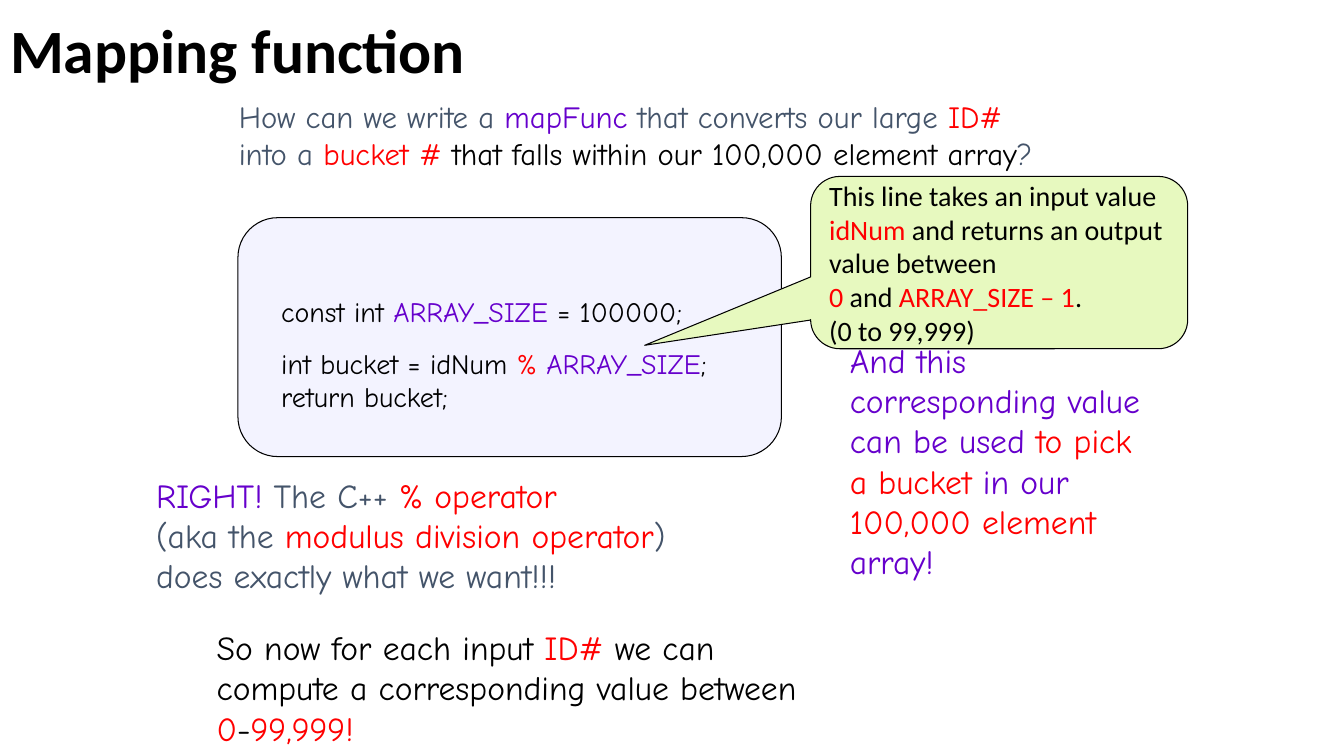
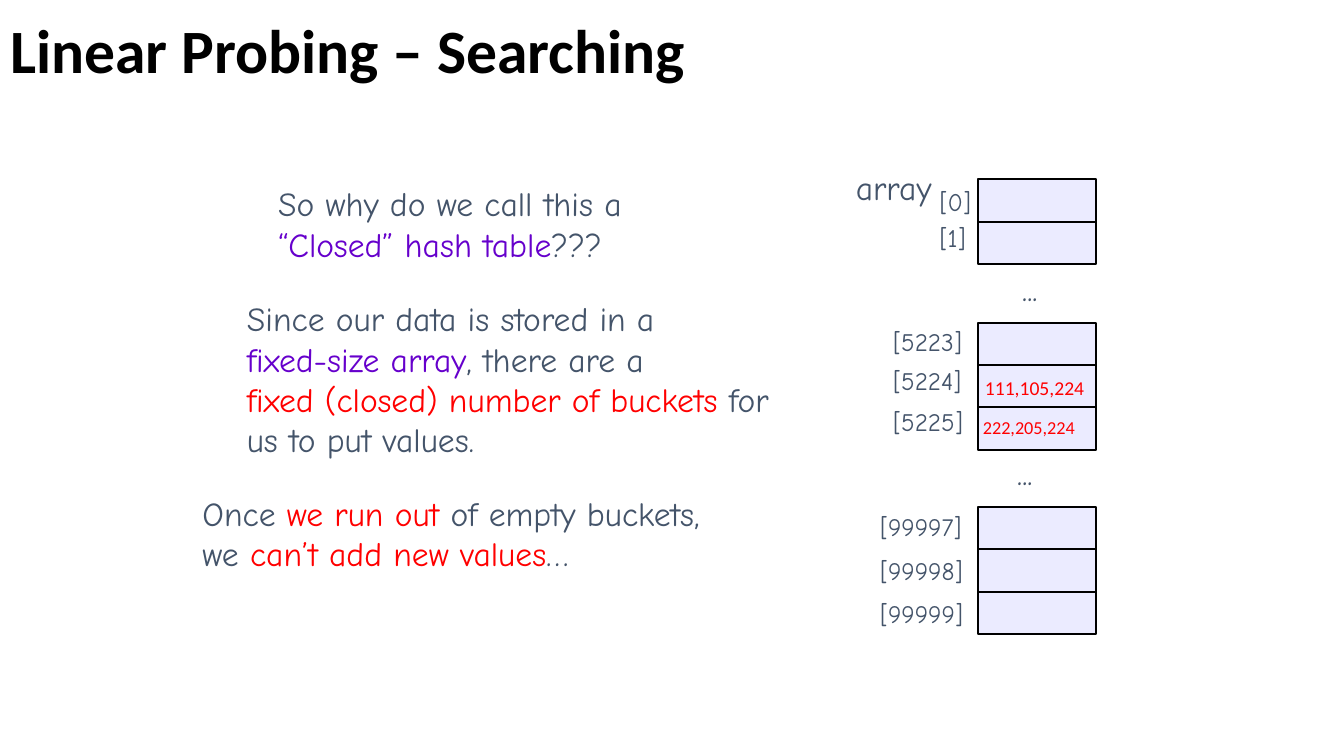
from pptx import Presentation
from pptx.dml.color import RGBColor
from pptx.enum.shapes import MSO_SHAPE
from pptx.enum.text import MSO_ANCHOR, MSO_AUTO_SIZE, PP_ALIGN
from pptx.util import Inches, Pt

RECT = MSO_SHAPE.RECTANGLE
ROUND_RECT = MSO_SHAPE.ROUNDED_RECTANGLE
CALLOUT = MSO_SHAPE.ROUNDED_RECTANGULAR_CALLOUT
MIDDLE = MSO_ANCHOR.MIDDLE
LEFT = PP_ALIGN.LEFT
NO_AUTOFIT = MSO_AUTO_SIZE.NONE
TITLE_ONLY = 5

BLACK, SLATE, PURPLE, RED = "000000", "44546A", "6600CC", "FF0000"
CODE_FILL, CALLOUT_FILL, CELL_FILL = "F3F3FF", "E7F9BF", "EBEBFF"
PLAIN, HAND = "Calibri", "Comic Neue"

CELL_LEFT, CELL_W, CELL_H = 9.7, 1.17, 0.42
BLOCK_TOPS = ((1.78, 2), (3.2, 3), (5.03, 3))
LABEL_LEFTS = {3: 9.22, 6: 8.76, 7: 8.63}
LABEL_TOPS = {"[0]": 1.8, "[1]": 2.16,
              "[5223]": 3.19, "[5224]": 3.58, "[5225]": 3.98,
              "[99997]": 5.02, "[99998]": 5.46, "[99999]": 5.89}


def rgb(value):
    return RGBColor.from_string(value)


def box(left, top, width, height):
    return [Inches(v) for v in (left, top, width, height)]


def style_font(font, name, size, color, bold=False):
    font.name = name
    font.size = Pt(size)
    font.bold = bold
    font.color.rgb = rgb(color)


def write(tf, paragraphs, size, name=HAND):
    """Fill a frame; each paragraph is a list of (text, colour), \\n breaks a line."""
    tf.word_wrap = True
    for i, pieces in enumerate(paragraphs):
        p = tf.paragraphs[0] if i == 0 else tf.add_paragraph()
        p.alignment = LEFT
        for text, color in pieces:
            for j, line in enumerate(text.split("\n")):
                if j:
                    p.add_line_break()
                if line:
                    r = p.add_run()
                    r.text = line
                    style_font(r.font, name, size, color)


def add_text(slide, at, paragraphs, size=24, name=HAND):
    tf = slide.shapes.add_textbox(*box(*at)).text_frame
    write(tf, paragraphs, size, name)
    return tf


def add_panel(slide, kind, at, fill, line_width=0.75):
    sp = slide.shapes.add_shape(kind, *box(*at))
    sp.shadow.inherit = False
    sp.fill.solid()
    sp.fill.fore_color.rgb = rgb(fill)
    sp.line.color.rgb = rgb(BLACK)
    sp.line.width = Pt(line_width)
    return sp


def place_layout_title(layout):
    title = layout.placeholders[0]
    title.left, title.top, title.width, title.height = box(0, -0.19, 11.5, 1.45)


def add_slide(prs, title):
    slide = prs.slides.add_slide(prs.slide_layouts[TITLE_ONLY])
    tf = slide.shapes.title.text_frame
    tf.text = title
    tf.vertical_anchor = MIDDLE
    tf.auto_size = NO_AUTOFIT
    p = tf.paragraphs[0]
    p.alignment = LEFT
    p.line_spacing = 0.9
    style_font(p.runs[0].font, PLAIN, 44, BLACK, bold=True)
    return slide


def add_callout(slide):
    sp = add_panel(slide, CALLOUT, (8.04, 1.75, 3.74, 1.71), CALLOUT_FILL)
    for i, value in enumerate((-0.94, 0.48, 0.17)):
        sp.adjustments[i] = value
    sp.text_frame.vertical_anchor = MIDDLE
    write(sp.text_frame, [
        [("This line takes an input value ", BLACK), ("idNum", RED),
         (" and returns an output value between \n", BLACK), ("0 ", RED),
         ("and ", BLACK), ("ARRAY_SIZE – 1", RED), (".", BLACK)],
        [("(0 to 99,999)", BLACK)]], 20, PLAIN)


def add_mapping_slide(prs):
    slide = add_slide(prs, "Mapping function")
    add_panel(slide, ROUND_RECT, (2.36, 2.16, 5.39, 2.37), CODE_FILL)
    add_text(slide, (2.27, 0.92, 9.52, 0.84), [
        [("How can we write a ", SLATE), ("mapFunc ", PURPLE),
         ("that converts our large ", SLATE), ("ID# \n", RED),
         ("into a ", SLATE), ("bucket # ", RED),
         ("that falls within our 100,000 element array", BLACK),
         ("?", SLATE)]], 22)
    code = add_text(slide, (2.69, 2.87, 5.71, 1.31), [
        [("const int ", BLACK), ("ARRAY_SIZE", PURPLE), (" = 100000;", BLACK)],
        [("int bucket = idNum ", BLACK), ("% ", RED),
         ("ARRAY_SIZE", PURPLE), (";", BLACK)],
        [("return bucket;", BLACK)]], 20)
    code.paragraphs[0].space_after = Pt(13)
    add_text(slide, (1.45, 4.66, 7.32, 1.31), [
        [("RIGHT! ", PURPLE), ("The C++ ", SLATE), ("% operator \n", RED),
         ("(aka the ", SLATE), ("modulus division operator", RED),
         (") \ndoes exactly what we want!!!", SLATE)]])
    add_callout(slide)
    add_text(slide, (2.05, 6.17, 6.12, 1.31), [
        [("So now for each input ", BLACK), ("ID#", RED),
         (" we can compute a corresponding value between ", BLACK),
         ("0", RED), ("-", BLACK), ("99,999!", RED)]])
    add_text(slide, (8.33, 3.32, 3.17, 2.52), [
        [("And this corresponding value can be used ", PURPLE),
         ("to pick a bucket", RED), (" in our ", PURPLE),
         ("100,000 element ", RED), ("array!", PURPLE)]])


def add_bucket_array(slide):
    for top, count in BLOCK_TOPS:
        for row in range(count):
            at = (CELL_LEFT, top + row * CELL_H, CELL_W, CELL_H)
            add_panel(slide, RECT, at, CELL_FILL, 1.5)
    add_text(slide, (8.39, 1.61, 1.43, 0.5), [[("array", SLATE)]])
    for left, top in ((10.04, 2.61), (9.99, 4.43)):
        add_text(slide, (left, top, 0.45, 0.5), [[("...", SLATE)]])
    for label, top in LABEL_TOPS.items():
        at = (LABEL_LEFTS[len(label)], top, 1.15, 0.4)
        add_text(slide, at, [[(label, SLATE)]], 18)
    for value, left, top, size in (("111,105,224", 9.67, 3.68, 14),
                                   ("222,205,224", 9.65, 4.08, 13)):
        add_text(slide, (left, top, 1.3, 0.34), [[(value, RED)]], size, PLAIN)


def add_probing_slide(prs):
    slide = add_slide(prs, "Linear Probing – Searching")
    add_bucket_array(slide)
    add_text(slide, (2.66, 1.77, 5.16, 0.91), [
        [("So why do we call this a \n", SLATE),
         ("“Closed” hash table", PURPLE), ("???", SLATE)]])
    add_text(slide, (2.35, 2.91, 5.77, 1.72), [
        [("Since our data is stored in a \n", SLATE),
         ("fixed-size array", PURPLE), (", there are a \n", SLATE),
         ("fixed (closed) number of buckets ", RED),
         ("for us to put values.", SLATE)]])
    add_text(slide, (1.91, 4.84, 6.66, 0.91), [
        [("Once ", SLATE), ("we run out ", RED),
         ("of empty buckets, \nwe ", SLATE),
         ("can’t add new values", RED), ("…", SLATE)]])


def main():
    prs = Presentation()
    prs.slide_width, prs.slide_height = Inches(13.33), Inches(7.5)
    place_layout_title(prs.slide_layouts[TITLE_ONLY])
    add_mapping_slide(prs)
    add_probing_slide(prs)
    prs.save("out.pptx")


if __name__ == "__main__":
    main()
